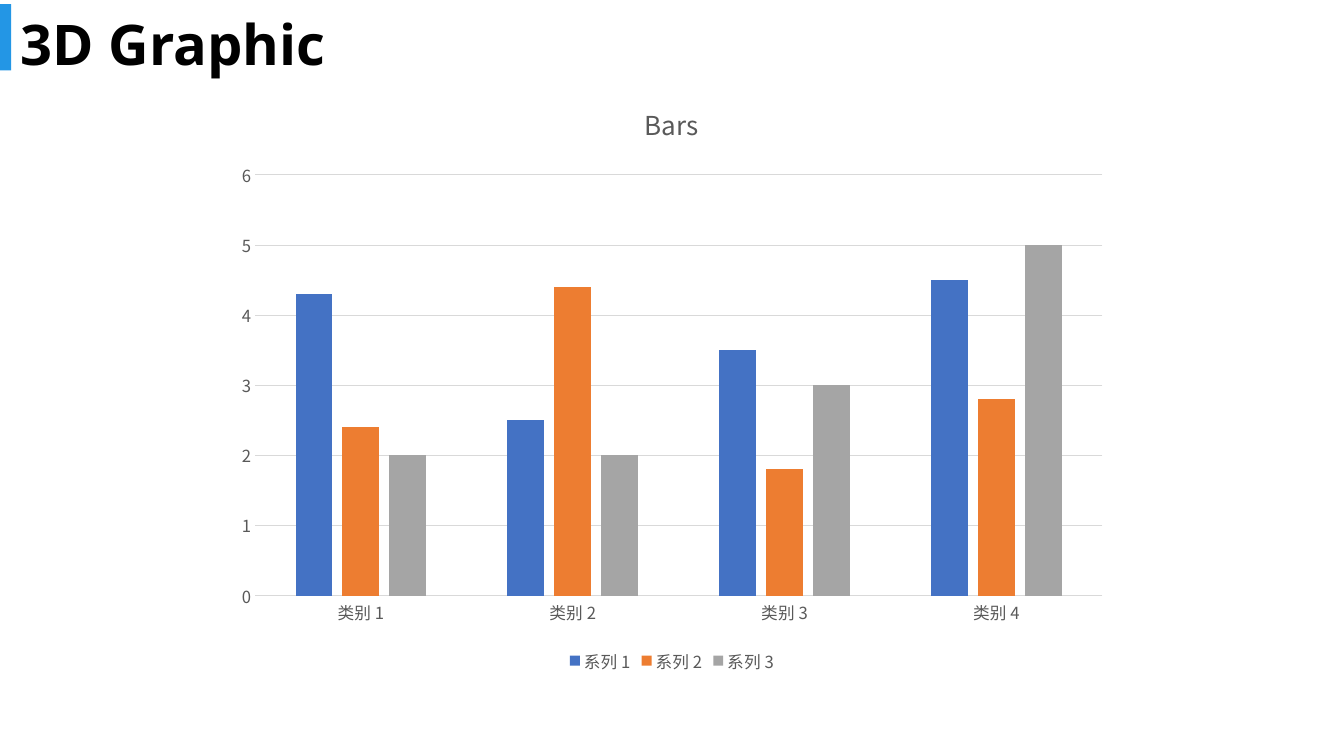
import pptx
import pptx.chart.data
import pptx.dml.color
import pptx.enum.chart
import pptx.enum.shapes
import pptx.enum.text
import pptx.util
from pptx.util import Inches

RGBColor = pptx.dml.color.RGBColor
ACCENT = RGBColor(0x23, 0x96, 0xE5)
BLACK = RGBColor(0x00, 0x00, 0x00)
LABEL_GRAY = RGBColor(0x59, 0x59, 0x59)
GRID_GRAY = RGBColor(0xD9, 0xD9, 0xD9)
BLUE = RGBColor(0x44, 0x72, 0xC4)
ORANGE = RGBColor(0xED, 0x7D, 0x31)
GRAY = RGBColor(0xA5, 0xA5, 0xA5)

HEADING_FONT = "Open Sans"
CHART_FONT = "Noto Sans CJK SC"
CATEGORIES = [f"类别 {number}" for number in range(1, 5)]
SERIES = [
    ("系列 1", (4.3, 2.5, 3.5, 4.5), BLUE),
    ("系列 2", (2.4, 4.4, 1.8, 2.8), ORANGE),
    ("系列 3", (2, 2, 3, 5), GRAY),
]


def style_font(font, name, size, color, bold=False):
    font.name = name
    font.size = pptx.util.Pt(size)
    font.color.rgb = color
    font.bold = bold


def style_rule(line):
    line.color.rgb = GRID_GRAY
    line.width = pptx.util.Pt(0.75)


def add_accent_bar(slide):
    bar = slide.shapes.add_shape(
        pptx.enum.shapes.MSO_SHAPE.RECTANGLE,
        Inches(0), Inches(0.04), Inches(0.11), Inches(0.66))
    bar.shadow.inherit = False
    bar.fill.solid()
    bar.fill.fore_color.rgb = ACCENT
    bar.line.fill.background()


def add_heading(slide, text):
    heading = slide.shapes.add_textbox(
        Inches(0.11), Inches(0.04), Inches(4.69), Inches(0.77)).text_frame
    heading.word_wrap = True
    heading.auto_size = pptx.enum.text.MSO_AUTO_SIZE.SHAPE_TO_FIT_TEXT
    heading.vertical_anchor = pptx.enum.text.MSO_ANCHOR.MIDDLE
    run = heading.paragraphs[0].add_run()
    run.text = text
    style_font(run.font, HEADING_FONT, 40, BLACK, bold=True)


def style_axes(chart):
    for axis in (chart.category_axis, chart.value_axis):
        axis.major_tick_mark = pptx.enum.chart.XL_TICK_MARK.NONE
        axis.minor_tick_mark = pptx.enum.chart.XL_TICK_MARK.NONE
        style_font(axis.tick_labels.font, CHART_FONT, 11.9, LABEL_GRAY)
    style_rule(chart.category_axis.format.line)

    values = chart.value_axis
    values.minimum_scale = 0
    values.maximum_scale = 6
    values.major_unit = 1
    values.format.line.fill.background()
    values.has_major_gridlines = True
    style_rule(values.major_gridlines.format.line)


def add_bar_chart(slide, title):
    bar_data = pptx.chart.data.CategoryChartData()
    bar_data.categories = CATEGORIES
    for name, values, _ in SERIES:
        bar_data.add_series(name, values)
    chart = slide.shapes.add_chart(
        pptx.enum.chart.XL_CHART_TYPE.COLUMN_CLUSTERED,
        Inches(2.22), Inches(0.79), Inches(8.89), Inches(5.93),
        bar_data).chart
    style_font(chart.font, CHART_FONT, 10, BLACK)

    chart.has_title = True
    run = chart.chart_title.text_frame.paragraphs[0].add_run()
    run.text = title
    style_font(run.font, CHART_FONT, 18.6, LABEL_GRAY)
    chart.chart_title.include_in_layout = False

    chart.has_legend = True
    chart.legend.position = pptx.enum.chart.XL_LEGEND_POSITION.BOTTOM
    chart.legend.include_in_layout = False
    style_font(chart.legend.font, CHART_FONT, 11.9, LABEL_GRAY)

    style_axes(chart)
    bars = chart.plots[0]
    bars.gap_width = 219
    bars.overlap = -27
    bars.vary_by_categories = False
    for series, (_, _, color) in zip(bars.series, SERIES):
        series.format.fill.solid()
        series.format.fill.fore_color.rgb = color
        series.invert_if_negative = False


def main():
    deck = pptx.Presentation()
    deck.slide_width = Inches(13.33)
    deck.slide_height = Inches(7.5)
    slide = deck.slides.add_slide(deck.slide_layouts[6])
    add_accent_bar(slide)
    add_heading(slide, "3D Graphic")
    add_bar_chart(slide, "Bars")
    deck.save("out.pptx")


if __name__ == "__main__":
    main()
